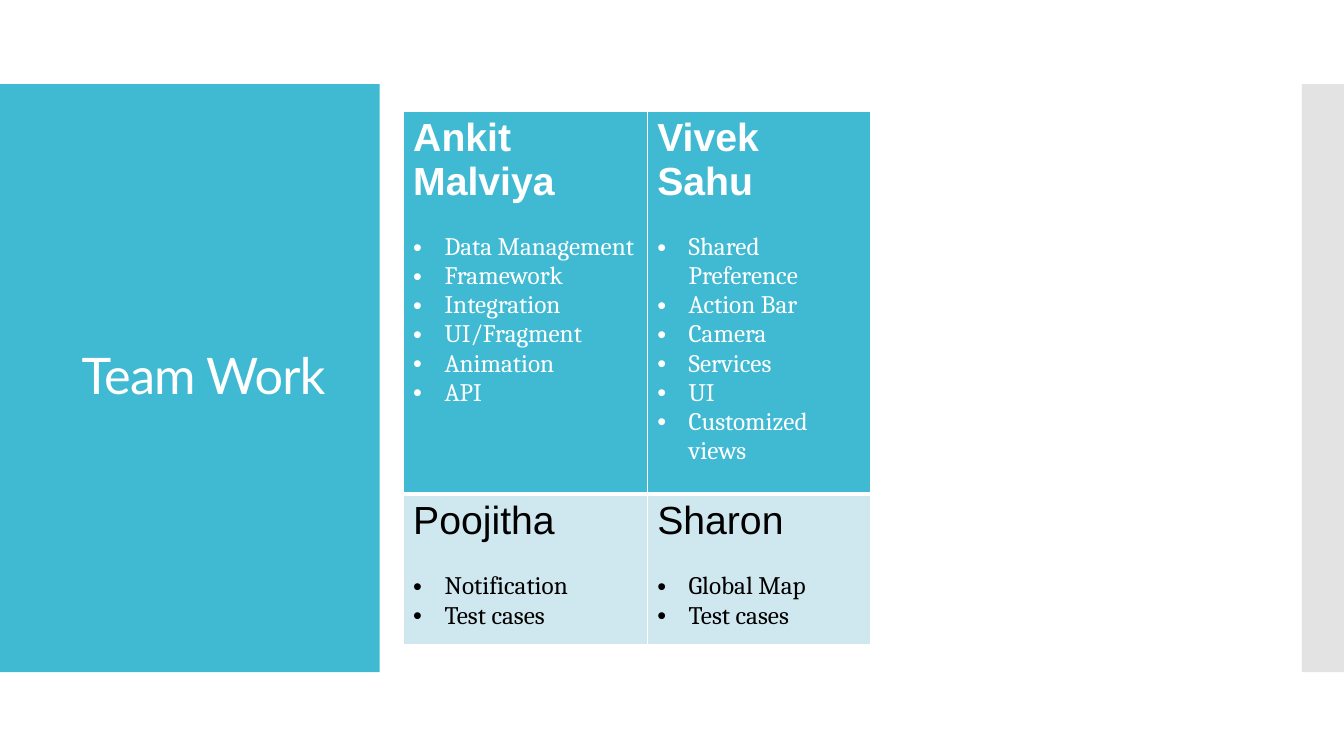
from lxml import etree
from pptx import Presentation
from pptx.dml.color import RGBColor
from pptx.enum.shapes import MSO_SHAPE
from pptx.enum.text import MSO_ANCHOR, MSO_AUTO_SIZE, PP_ALIGN
from pptx.oxml.ns import qn
from pptx.util import Cm, Pt

RECTANGLE = MSO_SHAPE.RECTANGLE
MIDDLE = MSO_ANCHOR.MIDDLE
NO_AUTOFIT = MSO_AUTO_SIZE.NONE
LEFT = PP_ALIGN.LEFT

TEAL, PALE, GREY = "40BAD2", "CFE7EE", "C8C8C8"
WHITE, BLACK = "FFFFFF", "000000"

TITLE_FONT = {"name": "Lato", "size": Pt(36), "bold": False}
MEMBER_FONT = {"name": "Arial", "size": Pt(28)}
TASK_FONT = {"name": "Cambria", "size": Pt(18), "bold": False}

TEAM = [
    [
        ("Ankit Malviya", ["Data Management", "Framework", "Integration",
                           "UI/Fragment", "Animation", "API"]),
        ("Vivek Sahu", ["Shared Preference", "Action Bar", "Camera",
                        "Services", "UI", "Customized views"]),
    ],
    [
        ("Poojitha", ["Notification", "Test cases"]),
        ("Sharon", ["Global Map", "Test cases"]),
    ],
]
COLUMN_WIDTHS = [6.15, 5.62]
ROW_HEIGHTS = [9.65, 3.79]
ROW_LOOKS = [
    {"fill": TEAL, "text": WHITE, "bold": True, "edges": {"L": 1, "R": 1, "T": 1, "B": 3}},
    {"fill": PALE, "text": BLACK, "bold": False, "edges": {"L": 1, "R": 1, "T": 3, "B": 1}},
]


def colour(hex_code):
    return RGBColor.from_string(hex_code)


def set_font(font, values, hex_code):
    for attribute, value in values.items():
        setattr(font, attribute, value)
    font.color.rgb = colour(hex_code)


def add_band(slide, box, hex_code, opacity=100):
    """Draw a plain rectangle; opacity is in percent."""
    band = slide.shapes.add_shape(RECTANGLE, *map(Cm, box))
    band.shadow.inherit = False
    band.line.fill.background()
    band.fill.solid()
    band.fill.fore_color.rgb = colour(hex_code)
    if opacity < 100:
        tint = band.fill._xPr.find(".//" + qn("a:srgbClr"))
        etree.SubElement(tint, qn("a:alpha"), val=str(opacity * 1000))


def place_title(slide, box, wording):
    title = slide.shapes.title
    # Move the placeholder in front of the coloured bands
    slide.shapes._spTree.append(title._element)
    title.left, title.top, title.width, title.height = map(Cm, box)
    frame = title.text_frame
    layout = {"word_wrap": True, "auto_size": NO_AUTOFIT, "vertical_anchor": MIDDLE}
    for attribute, value in layout.items():
        setattr(frame, attribute, value)
    paragraph = frame.paragraphs[0]
    paragraph.alignment = LEFT
    paragraph.line_spacing = 0.9
    run = paragraph.add_run()
    run.text = wording
    set_font(run.font, TITLE_FONT, WHITE)
    run.font._element.set("spc", "-60")


def add_bullet(paragraph):
    properties = paragraph._p.get_or_add_pPr()
    indent = Cm(0.79)
    properties.set("marL", str(indent))
    properties.set("indent", str(-indent))
    etree.SubElement(properties, qn("a:buFont"), typeface="Arial")
    etree.SubElement(properties, qn("a:buChar"), char="•")


def set_edges(cell, widths):
    properties = cell._tc.get_or_add_tcPr()
    for side, points in widths.items():
        edge = etree.SubElement(properties, qn("a:ln" + side), w=str(Pt(points)))
        paint = etree.SubElement(edge, qn("a:solidFill"))
        etree.SubElement(paint, qn("a:srgbClr"), val=WHITE)


def fill_member_cell(cell, member, tasks, look):
    set_edges(cell, look["edges"])
    cell.fill.solid()
    cell.fill.fore_color.rgb = colour(look["fill"])
    heading = cell.text_frame.paragraphs[0]
    heading.space_after = Pt(21)
    heading.add_run().text = member
    set_font(heading.runs[0].font, {**MEMBER_FONT, "bold": look["bold"]}, look["text"])
    for task in tasks:
        item = cell.text_frame.add_paragraph()
        add_bullet(item)
        item.add_run().text = task
        set_font(item.font, TASK_FONT, look["text"])
        set_font(item.runs[0].font, TASK_FONT, look["text"])


def add_team_table(slide, left, top):
    size = sum(COLUMN_WIDTHS), sum(ROW_HEIGHTS)
    table = slide.shapes.add_table(
        len(TEAM), len(TEAM[0]), *map(Cm, (left, top, *size))).table
    table.horz_banding = False
    table.first_row = False
    for column, width in zip(table.columns, COLUMN_WIDTHS):
        column.width = Cm(width)
    for row, height, members, look in zip(table.rows, ROW_HEIGHTS, TEAM, ROW_LOOKS):
        row.height = Cm(height)
        for cell, (member, tasks) in zip(row.cells, members):
            fill_member_cell(cell, member, tasks, look)


def build_team_slide(deck):
    slide = deck.slides.add_slide(deck.slide_layouts[5])
    band_top, band_height = 2.12, 14.82
    add_band(slide, (0, band_top, 9.57, band_height), TEAL)
    add_band(slide, (32.81, band_top, 1.06, band_height), GREY, opacity=50)
    place_title(slide, (1.8, band_top + 1, 6.76, band_height - 2), "Team Work")
    add_team_table(slide, 10.16, 2.8)


def main():
    deck = Presentation()
    deck.slide_width, deck.slide_height = Cm(33.87), Cm(19.05)
    build_team_slide(deck)
    deck.save("out.pptx")


if __name__ == "__main__":
    main()
